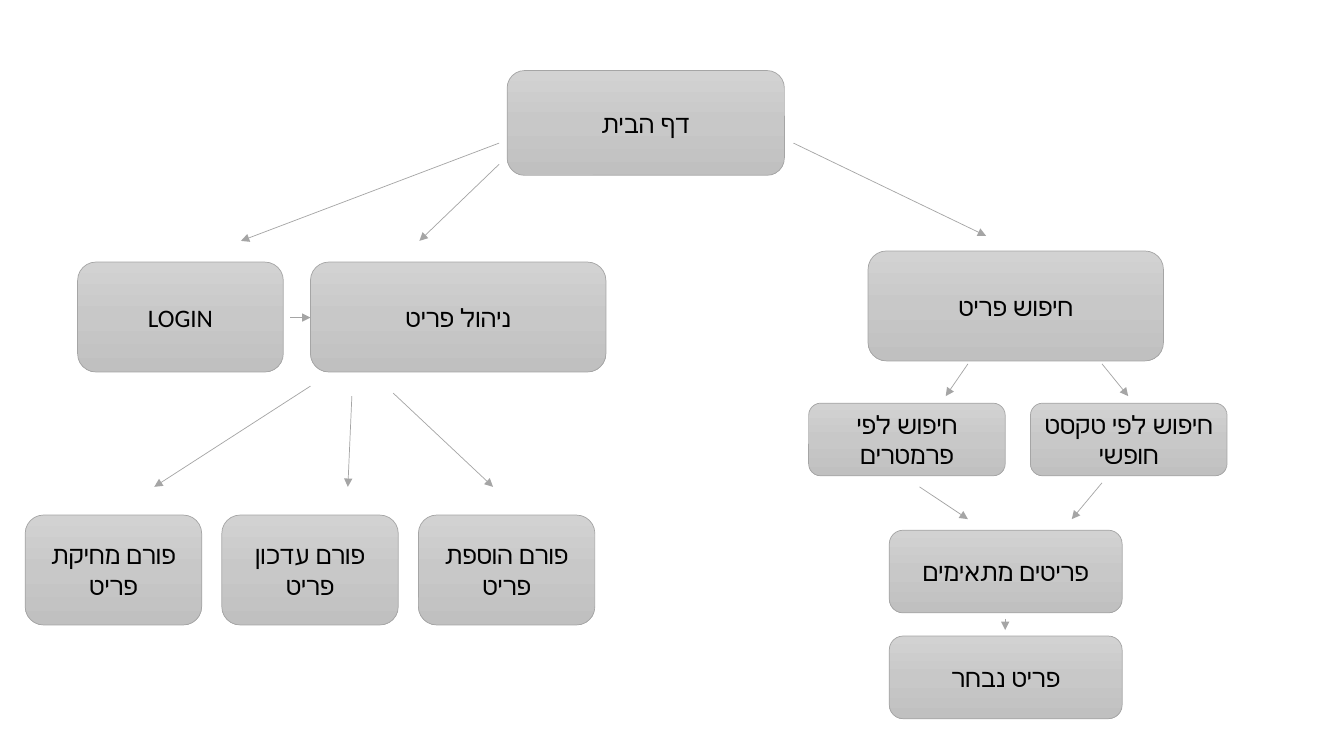
from copy import deepcopy
from lxml.etree import SubElement
from pptx import Presentation
from pptx.dml.color import RGBColor
from pptx.enum.shapes import MSO_CONNECTOR, MSO_SHAPE
from pptx.enum.text import MSO_ANCHOR, PP_ALIGN
from pptx.oxml.ns import qn
from pptx.util import Pt

SCALE = 9144
GRAY = "A5A5A5"
SHADES = ["D2D2D2", "C8C8C8", "C0C0C0"]


def px(*sizes):
    return [size * SCALE for size in sizes]


def color(code):
    return RGBColor.from_string(code)


deck = Presentation()
deck.slide_width, deck.slide_height = px(1333, 750)
slide = deck.slides.add_slide(deck.slide_layouts[6])

boxes = [
    ("דף הבית", 503, 70, 275, 104),
    ("חיפוש פריט", 861, 249, 293, 109),
    ("ניהול פריט", 308, 260, 293, 109),
    ("LOGIN", 77, 260, 204, 109),
    ("חיפוש לפי פרמטרים", 802, 400, 195, 72),
    ("חיפוש לפי טקסט חופשי", 1022, 400, 195, 72),
    ("פריטים מתאימים", 882, 526, 231, 82),
    ("פריט נבחר", 882, 631, 231, 82),
]
forms = ["פורם מחיקת פריט", "פורם עדכון פריט", "פורם הוספת פריט"]
for col, label in enumerate(forms):
    boxes.append((label, 25 + 195 * col, 511, 175, 109))

for label, *place in boxes:
    box = slide.shapes.add_shape(MSO_SHAPE.ROUNDED_RECTANGLE, *px(*place))
    box.shadow.inherit = False
    box.fill.gradient()
    box.fill.gradient_angle = 270
    first = box._element.spPr.find(".//" + qn("a:gs"))
    middle = deepcopy(first)
    middle.set("pos", "50000")
    first.addnext(middle)
    for stop, shade in zip(box.fill.gradient_stops, SHADES):
        stop.color.rgb = color(shade)
    box.line.color.rgb = color(GRAY)
    box.line.width = Pt(0.5)
    frame = box.text_frame
    frame.word_wrap = True
    frame.vertical_anchor = MSO_ANCHOR.MIDDLE
    para = frame.paragraphs[0]
    para.text = label
    para.alignment = PP_ALIGN.CENTER
    para._p.get_or_add_pPr().set("rtl", "1")
    para.font.name = "Calibri"
    para.font.size = Pt(18)
    para.font.color.rgb = color("000000")

arrows = [
    (787, 142, 978, 234),
    (495, 142, 239, 239),
    (495, 163, 416, 239),
    (288, 315, 308, 315),
    (1093, 361, 1119, 393),
    (960, 361, 938, 393),
    (1093, 479, 1063, 515),
    (912, 483, 960, 515),
    (997, 614, 997, 625),
    (390, 390, 489, 483),
    (349, 393, 345, 483),
    (308, 383, 153, 483),
]
for ends in arrows:
    arrow = slide.shapes.add_connector(MSO_CONNECTOR.STRAIGHT, *px(*ends))
    arrow.line.color.rgb = color(GRAY)
    arrow.line.width = Pt(0.5)
    SubElement(arrow.line._get_or_add_ln(), qn("a:tailEnd"), type="triangle")
    SubElement(arrow._element.spPr, qn("a:effectLst"))

deck.save("out.pptx")
